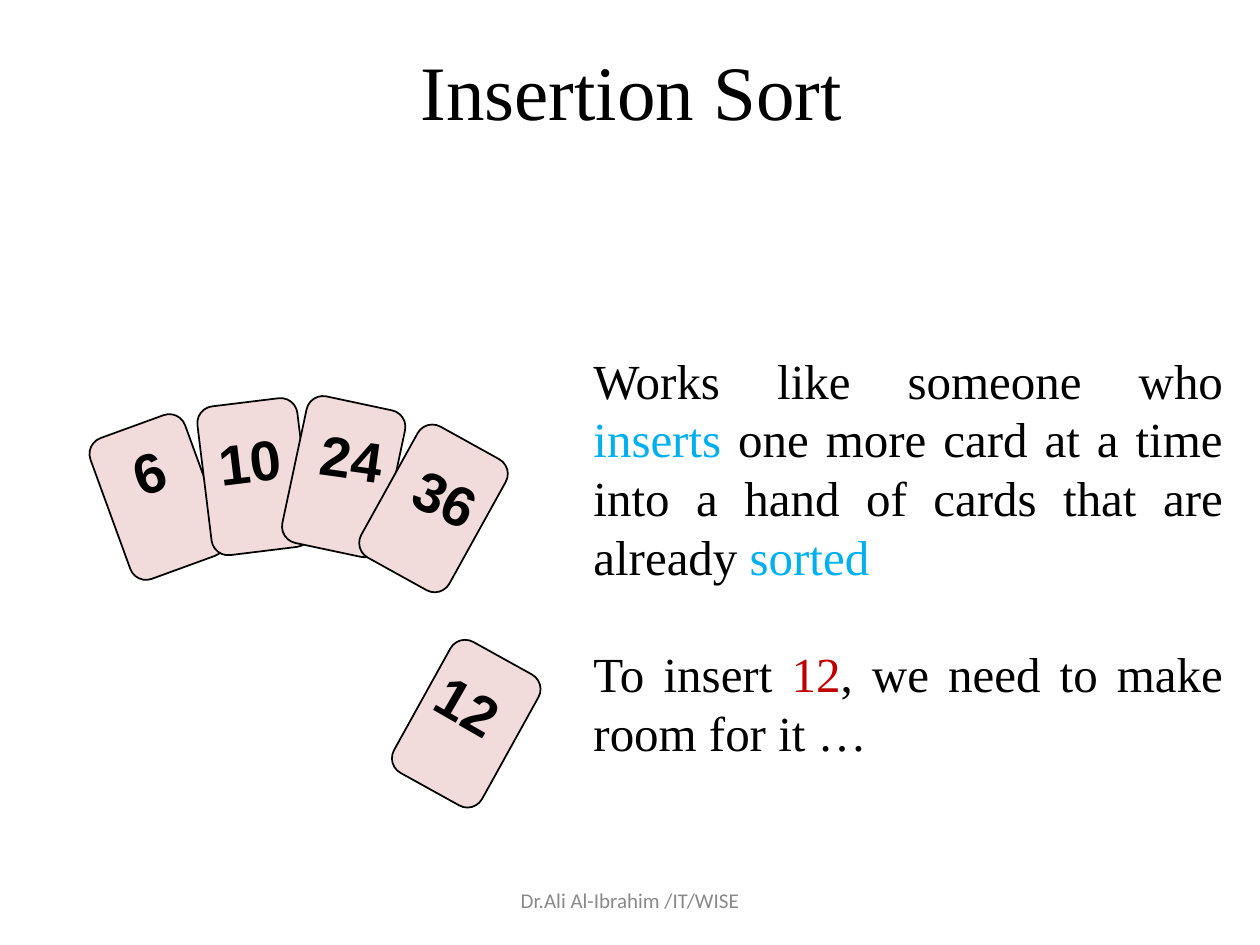
from dataclasses import dataclass

from lxml import etree
from pptx import Presentation
from pptx.dml.color import RGBColor
from pptx.enum import shapes, text
from pptx.oxml.ns import qn
from pptx.util import Cm, Pt

COLORS = {
    "ink": "000000",
    "card": "F2DCDB",
    "highlight": "00B0F0",
    "new_card": "C00000",
    "footer": "898989",
}
SERIF = "Times New Roman"
CARD_WIDTH, CARD_HEIGHT = 2.03, 3.02
LABEL_HEIGHT = 1.6
LINE_PITCH = Pt(33.6)


@dataclass
class Card:
    """A playing card; centres are in centimetres, angles in degrees."""
    number: str
    center: tuple[float, float]
    angle: float
    label_center: tuple[float, float]
    label_angle: float


CARDS = [
    Card("6", (3.18, 10.02), -20, (3.01, 9.49), -19),
    Card("10", (5.13, 9.61), -7, (5.03, 9.28), -7),
    Card("24", (6.93, 9.61), 12, (7.09, 9.21), 8),
    Card("12", (9.4, 14.59), 29, (9.45, 14.21), 30),
    Card("36", (8.74, 10.25), 29, (8.99, 10.02), 25),
]

EXPLANATION = [
    [("Works like someone who ", "ink"), ("inserts", "highlight"),
     (" one more card at a time into a hand of cards that are already ", "ink"),
     ("sorted ", "highlight")],
    [("To insert ", "ink"), ("12", "new_card"),
     (", we need to make room for it …", "ink")],
]


def rgb(name: str) -> RGBColor:
    return RGBColor.from_string(COLORS[name])


def add_run(paragraph, words: str, size: float, font: str,
            color: str = "ink", bold: bool = False) -> None:
    run = paragraph.add_run()
    run.text = words
    run.font.size = Pt(size)
    run.font.name = font
    run.font.bold = bold
    run.font.color.rgb = rgb(color)


def place(shape, left: float, top: float, width: float, height: float) -> None:
    shape.left, shape.top = Cm(left), Cm(top)
    shape.width, shape.height = Cm(width), Cm(height)


def centered_box(center: tuple[float, float], width: float, height: float) -> list:
    x, y = center
    return [Cm(x - width / 2), Cm(y - height / 2), Cm(width), Cm(height)]


def draw_card(slide, card: Card) -> None:
    face = slide.shapes.add_shape(
        shapes.MSO_SHAPE.ROUNDED_RECTANGLE,
        *centered_box(card.center, CARD_WIDTH, CARD_HEIGHT))
    face.rotation = card.angle
    face.shadow.inherit = False
    face.fill.solid()
    face.fill.fore_color.rgb = rgb("card")
    face.line.color.rgb = rgb("ink")
    face.line.width = Pt(1)

    label_width = 0.5 + 0.63 * len(card.number)
    label = slide.shapes.add_textbox(
        *centered_box(card.label_center, label_width, LABEL_HEIGHT))
    label.rotation = card.label_angle
    label.text_frame.word_wrap = False
    number = label.text_frame.paragraphs[0]
    number.alignment = text.PP_ALIGN.CENTER
    add_run(number, card.number, 32, "Arial", bold=True)


def write_title(slide) -> None:
    title = slide.shapes.title
    place(title, 4.55, 0.53, 16.36, 2.34)
    title.text_frame.vertical_anchor = text.MSO_ANCHOR.BOTTOM
    heading = title.text_frame.paragraphs[0]
    heading.alignment = text.PP_ALIGN.CENTER
    add_run(heading, "Insertion Sort", 44, SERIF)


def write_explanation(slide) -> None:
    body = slide.placeholders[1]
    place(body, 11.71, 6.93, 13.2, 8.56)
    frame = body.text_frame
    frame.auto_size = text.MSO_AUTO_SIZE.NONE
    for index, parts in enumerate(EXPLANATION):
        paragraph = frame.add_paragraph() if index else frame.paragraphs[0]
        properties = paragraph._p.get_or_add_pPr()
        properties.set("marL", "0")
        properties.set("indent", "0")
        etree.SubElement(properties, qn("a:buNone"))
        paragraph.alignment = text.PP_ALIGN.JUSTIFY
        paragraph.line_spacing = LINE_PITCH
        paragraph.space_before = LINE_PITCH if index else Pt(0)
        for words, color in parts:
            add_run(paragraph, words, 28, SERIF, color)


def write_footer(slide) -> None:
    footer = slide.shapes.add_textbox(Cm(8.68), Cm(17.65), Cm(8.04), Cm(1.01))
    footer.text_frame.word_wrap = True
    footer.text_frame.vertical_anchor = text.MSO_ANCHOR.MIDDLE
    author = footer.text_frame.paragraphs[0]
    author.alignment = text.PP_ALIGN.CENTER
    add_run(author, "Dr.Ali Al-Ibrahim /IT/WISE", 12, "Calibri", "footer")


def main() -> None:
    deck = Presentation()
    deck.slide_width, deck.slide_height = Cm(25.4), Cm(19.05)
    slide = deck.slides.add_slide(deck.slide_layouts[1])
    write_title(slide)
    write_explanation(slide)
    for card in CARDS:
        draw_card(slide, card)
    write_footer(slide)
    deck.save("out.pptx")


if __name__ == "__main__":
    main()
